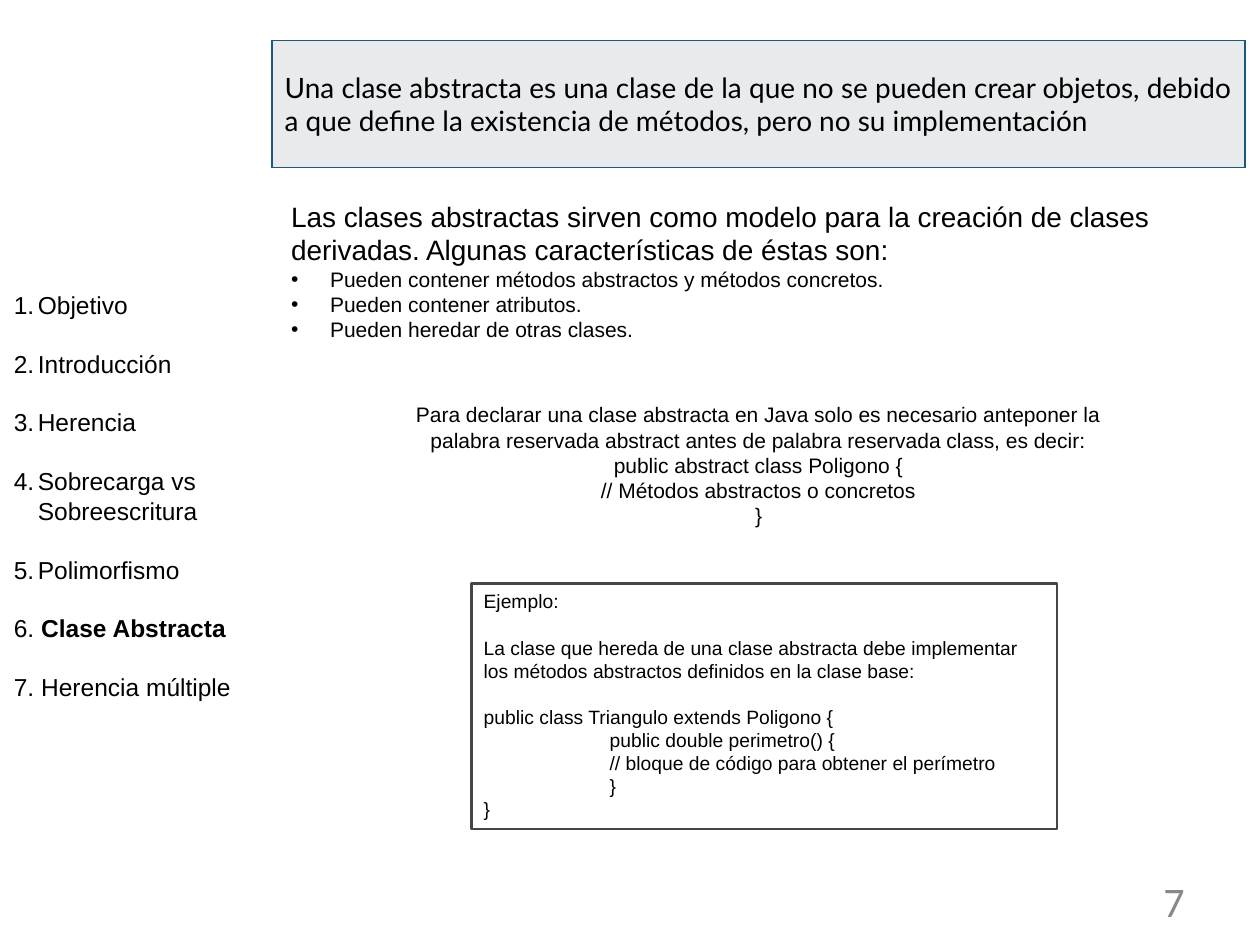
"""Builds the slide on abstract classes, with its section index at the left."""
from dataclasses import dataclass

from lxml.etree import SubElement
from pptx import Presentation
from pptx.dml.color import RGBColor as RGB
from pptx.enum.shapes import MSO_SHAPE as SHAPE
from pptx.enum.text import MSO_ANCHOR as ANCHOR, MSO_AUTO_SIZE as AUTO, PP_ALIGN as ALIGN
from pptx.oxml.ns import qn
from pptx.util import Inches, Pt


@dataclass(frozen=True)
class Theme:
    font: str = "Arial"
    banner_font: str = "Lato"
    number_font: str = "Calibri"
    ink: str = "000000"
    muted: str = "898989"
    banner_fill: str = "E8EAEC"
    banner_line: str = "1B587C"
    frame: str = "464646"
    lead: int = 16
    index: int = 14
    body: int = 12
    code: int = 11
    number: int = 24
    leading: float = 1.2


T = Theme()

DEFINITION = ("Una clase abstracta es una clase de la que no se pueden crear objetos, "
              "debido a que define la existencia de métodos, pero no su implementación")
INTRO = ("Las clases abstractas sirven como modelo para la creación de clases derivadas. "
         "Algunas características de éstas son:")
FEATURES = ["Pueden contener métodos abstractos y métodos concretos.",
            "Pueden contener atributos.",
            "Pueden heredar de otras clases."]
DECLARATION = ["Para declarar una clase abstracta en Java solo es necesario anteponer la "
               "palabra reservada abstract antes de palabra reservada class, es decir:",
               "public abstract class Poligono {",
               "// Métodos abstractos o concretos",
               "}"]
EXAMPLE = [("Ejemplo:", 0, False),
           ("La clase que hereda de una clase abstracta debe implementar "
            "los métodos abstractos definidos en la clase base:", 0, True),
           ("public class Triangulo extends Poligono {", 0, True),
           ("public double perimetro() {", 1, False),
           ("// bloque de código para obtener el perímetro", 1, False),
           ("}", 1, False),
           ("}", 0, False)]
SECTIONS = ["Objetivo", "Introducción", "Herencia", "Sobrecarga vs Sobreescritura",
            "Polimorfismo"]


def box(left, top, width, height):
    """Return the four lengths of a frame."""
    return [Inches(v) for v in (left, top, width, height)]


def place(s, frame):
    """Move a placeholder to a frame."""
    s.left, s.top, s.width, s.height = frame


def set_bullet(p, kind, **attrs):
    """Give a paragraph a bullet element of the given kind."""
    SubElement(p._p.get_or_add_pPr(), qn(f"a:{kind}"), attrs)


def add_paragraph(tf, runs, size, font=T.font, color=T.ink, align=ALIGN.LEFT,
                  indent=0, hanging=0, gap=False, bullet=("buNone", {})):
    """Write a paragraph of one or more runs, with one blank line above if gap is set."""
    p = tf.paragraphs[0]
    if p.runs:
        p = tf.add_paragraph()
    p.alignment = align
    p.space_before = Pt(size * T.leading if gap else 0)
    pPr = p._p.get_or_add_pPr()
    pPr.set("marL", str(Inches(indent)))
    pPr.set("indent", str(-Inches(hanging)))
    set_bullet(p, bullet[0], **bullet[1])
    p.font.size, p.font.name = Pt(size), font
    p.font.color.rgb = RGB.from_string(color)
    for text in [runs] if isinstance(runs, str) else runs:
        p.add_run().text = text
    return p


def prepare(s, anchor=ANCHOR.TOP, auto=AUTO.SHAPE_TO_FIT_TEXT):
    """Set wrapping and anchoring, and return the text frame."""
    tf = s.text_frame
    tf.word_wrap, tf.auto_size, tf.vertical_anchor = True, auto, anchor
    return tf


def add_banner(slide):
    """Add the definition as a one-cell table."""
    table = slide.shapes.add_table(1, 1, *box(2.16, 0.32, 7.72, 1.01)).table
    table.first_row = table.horz_banding = False
    cell = table.cell(0, 0)
    tcPr = cell._tc.get_or_add_tcPr()
    for side in ("lnL", "lnR", "lnT", "lnB"):
        ln = SubElement(tcPr, qn(f"a:{side}"), w=str(Pt(1)))
        SubElement(SubElement(ln, qn("a:solidFill")), qn("a:srgbClr"), val=T.banner_line)
    cell.fill.solid()
    cell.fill.fore_color.rgb = RGB.from_string(T.banner_fill)
    cell.vertical_anchor = ANCHOR.MIDDLE
    add_paragraph(cell.text_frame, DEFINITION, T.lead, T.banner_font, align=ALIGN.JUSTIFY)


def fill_features(s):
    """Fill a body placeholder with the introduction and its bullets."""
    place(s, box(2.21, 1.53, 7.62, 1.25))
    tf = prepare(s)
    add_paragraph(tf, INTRO, T.lead)
    for feature in FEATURES:
        add_paragraph(tf, feature, T.body, indent=0.31, hanging=0.31,
                      bullet=("buChar", {"char": "•"}))


def fill_index(s):
    """Fill a body placeholder with the sections, the current one in bold."""
    place(s, box(0.01, 2.25, 2.16, 3.4))
    tf = prepare(s)
    for i, section in enumerate(SECTIONS):
        add_paragraph(tf, section, T.index, indent=0.19, hanging=0.19, gap=i > 0,
                      bullet=("buAutoNum", {"type": "arabicPeriod"}))
    current = add_paragraph(tf, ["6. ", "Clase Abstracta"], T.index, gap=True)
    current.runs[1].font.bold = True
    add_paragraph(tf, "7. Herencia múltiple", T.index, gap=True)


def add_declaration(slide):
    """Add the centred declaration syntax."""
    tf = prepare(slide.shapes.add_textbox(*box(2.96, 3.14, 6.12, 1.11)))
    for line in DECLARATION:
        add_paragraph(tf, line, T.body, align=ALIGN.CENTER)


def add_example(slide):
    """Add the framed code example."""
    s = slide.shapes.add_shape(SHAPE.RECTANGLE, *box(3.74, 4.63, 4.65, 1.95))
    s.shadow.inherit = False
    s.fill.background()
    s.line.color.rgb = RGB.from_string(T.frame)
    s.line.width = Pt(1.5)
    tf = prepare(s)
    for text, indent, gap in EXAMPLE:
        add_paragraph(tf, text, T.code, indent=indent, gap=gap)


def add_number(slide):
    """Add the slide number."""
    s = slide.shapes.add_textbox(*box(7.17, 6.95, 2.33, 0.4))
    tf = prepare(s, ANCHOR.MIDDLE, AUTO.NONE)
    add_paragraph(tf, "7", T.number, T.number_font, T.muted, ALIGN.RIGHT)


def main():
    """Build and save the slide."""
    prs = Presentation()
    prs.slide_width, prs.slide_height = Inches(10), Inches(7.5)
    slide = prs.slides.add_slide(prs.slide_layouts.get_by_name("Two Content"))
    title, features, index = slide.placeholders
    title.element.getparent().remove(title.element)
    add_number(slide)
    add_banner(slide)
    fill_features(features)
    add_declaration(slide)
    add_example(slide)
    fill_index(index)
    prs.save("out.pptx")


if __name__ == "__main__":
    main()
